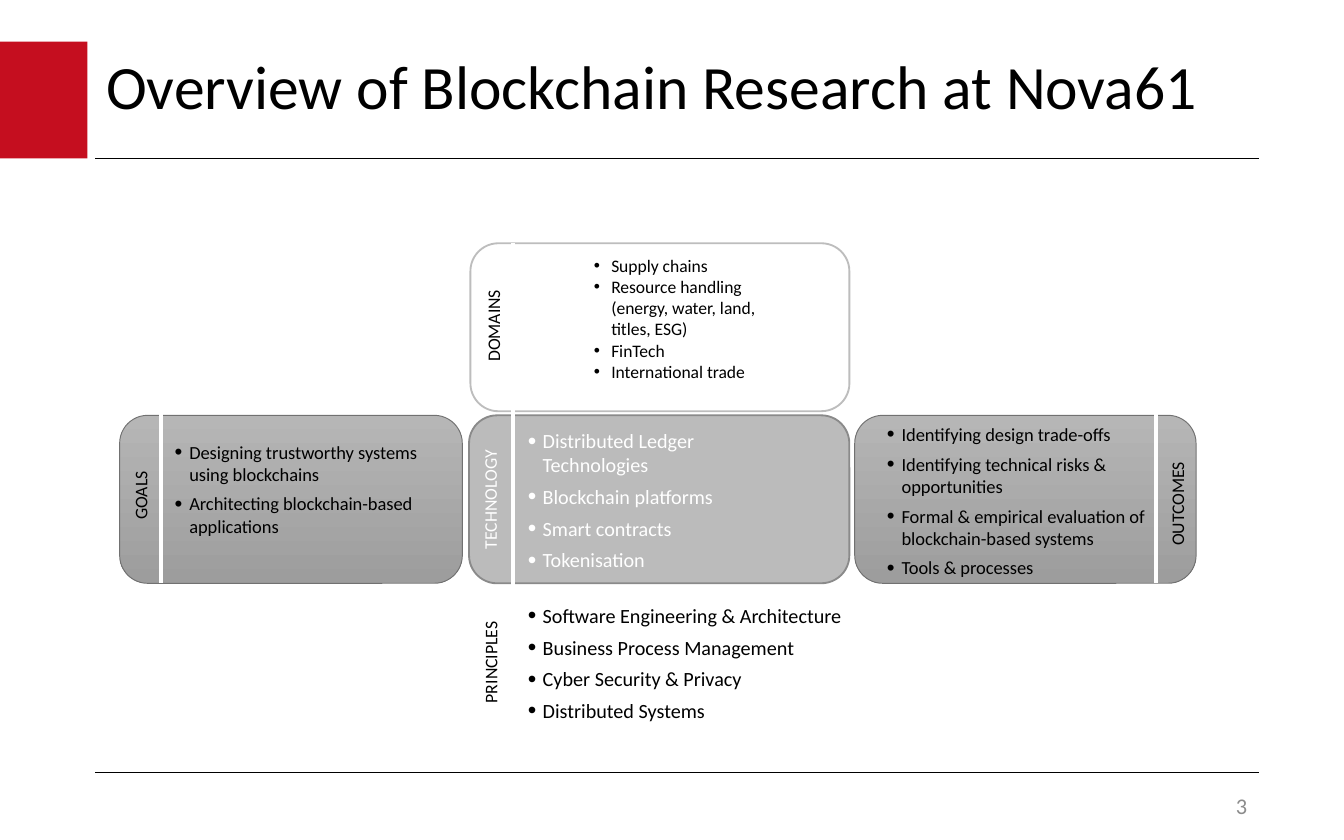
from lxml.etree import SubElement
from pptx import Presentation
from pptx.dml.color import RGBColor
from pptx.enum.shapes import MSO_CONNECTOR as Link, MSO_SHAPE as Form
from pptx.enum.text import MSO_ANCHOR as Anchor, MSO_AUTO_SIZE as Fit, PP_ALIGN as Align
from pptx.oxml.ns import qn
from pptx.util import Pt

PX = 9144
FONT = "Calibri"
BLACK = RGBColor(0, 0, 0)
WHITE = RGBColor(255, 255, 255)
RED = RGBColor(0xC5, 0x0E, 0x1F)
LIGHT = RGBColor(0xB6, 0xB6, 0xB6)
DARK = RGBColor(0x9D, 0x9D, 0x9D)
EDGE = RGBColor(0x71, 0x71, 0x71)
PALE = RGBColor(0xBD, 0xBD, 0xBD)
SILVER = RGBColor(0xBB, 0xBB, 0xBB)
STEEL = RGBColor(0x8A, 0x8A, 0x8A)
MUTED = RGBColor(0x8C, 0x8C, 0x8C)

ROW = 309
TALL = 125
SPLIT = 382

GOALS = ["Designing trustworthy systems using blockchains",
         "Architecting blockchain-based applications"]
DOMAINS = ["Supply chains", "Resource handling (energy, water, land, titles, ESG)",
           "FinTech", "International trade"]
TECH = ["Distributed Ledger Technologies", "Blockchain platforms",
        "Smart contracts", "Tokenisation"]
BASICS = ["Software Engineering & Architecture", "Business Process Management",
          "Cyber Security & Privacy", "Distributed Systems"]
RESULTS = ["Identifying design trade-offs",
           "Identifying technical risks & opportunities",
           "Formal & empirical evaluation of blockchain-based systems",
           "Tools & processes"]


def scale(*sizes):
    return [size * PX for size in sizes]


def add_run(para, text, size, color):
    run = para.add_run()
    run.text = text
    run.font.name = FONT
    run.font.size = Pt(size)
    run.font.color.rgb = color


def add_box(slide, box, fit=Fit.SHAPE_TO_FIT_TEXT, wrap=True):
    shape = slide.shapes.add_textbox(*scale(*box))
    frame = shape.text_frame
    frame.word_wrap = wrap
    frame.auto_size = fit
    frame.margin_right = 9 * PX
    return shape


def add_panel(slide, box, fill, edge=None, width=0.5, form=Form.ROUNDED_RECTANGLE):
    shape = slide.shapes.add_shape(form, *scale(*box))
    shape.shadow.inherit = False
    if isinstance(fill, list):
        shape.fill.gradient()
        shape.fill.gradient_angle = 270
        for stop, color in zip(shape.fill.gradient_stops, fill):
            stop.color.rgb = color
    else:
        shape.fill.solid()
        shape.fill.fore_color.rgb = fill
    if edge is None:
        shape.line.fill.background()
    else:
        shape.line.color.rgb = edge
        shape.line.width = Pt(width)


def add_line(slide, start, end, color, width):
    line = slide.shapes.add_connector(Link.STRAIGHT, *scale(*start, *end))
    line.line.color.rgb = color
    line.line.width = Pt(width)
    SubElement(line._element.spPr, qn("a:effectLst"))


def add_list(slide, box, items, size, color=BLACK, indent=11, gap=4, dot=120):
    frame = add_box(slide, box).text_frame
    for index, item in enumerate(items):
        para = frame.paragraphs[0] if index == 0 else frame.add_paragraph()
        props = para._p.get_or_add_pPr()
        props.set("marL", str(indent * PX))
        props.set("indent", str(-indent * PX))
        SubElement(props, qn("a:buSzPct"), val=str(dot * 1000))
        SubElement(props, qn("a:buFont"), typeface="Arial")
        SubElement(props, qn("a:buChar"), char="•")
        para.space_before = Pt(gap if index else 0)
        add_run(para, item, size, color)


def add_label(slide, box, text, color=BLACK):
    shape = add_box(slide, box, wrap=False)
    shape.rotation = 270
    add_run(shape.text_frame.paragraphs[0], text, 9.5, color)


def add_title(slide, text):
    title = slide.shapes.title
    title.left, title.top, title.width, title.height = scale(71, 31, 866, 71)
    frame = title.text_frame
    frame.vertical_anchor = Anchor.MIDDLE
    frame.auto_size = Fit.NONE
    frame.margin_left = 8 * PX
    para = frame.paragraphs[0]
    para.alignment = Align.LEFT
    para.line_spacing = 0.9
    add_run(para, text, 33, BLACK)


def add_number(slide, text):
    frame = add_box(slide, (734, 587, 203, 25), Fit.NONE).text_frame
    frame.vertical_anchor = Anchor.MIDDLE
    para = frame.paragraphs[0]
    para.alignment = Align.RIGHT
    add_run(para, text, 12, MUTED)


def main():
    deck = Presentation()
    deck.slide_width, deck.slide_height = scale(1000, 625)
    slide = deck.slides.add_slide(deck.slide_layouts[5])

    add_panel(slide, (0, 31, 65, 87), RED, form=Form.RECTANGLE)
    for y in (118, 575):
        add_line(slide, (71, y), (937, y), BLACK, 0.75)
    add_title(slide, "Overview of Blockchain Research at Nova61")

    add_panel(slide, (346, 437, 286, 109), WHITE, WHITE)
    add_panel(slide, (350, 181, 282, TALL), WHITE, PALE, 1)
    add_panel(slide, (349, ROW, 283, TALL), SILVER, STEEL, 1)
    for x, width in ((89, 255), (636, 254)):
        add_panel(slide, (x, ROW, width, TALL), [LIGHT, DARK], EDGE)

    for x, top, end in ((120, 306, 434), (860, 307, 434), (SPLIT, 181, 308),
                        (SPLIT, 307, 435), (SPLIT, 435, 546)):
        add_line(slide, (x, top), (x, end), WHITE, 2.25)

    add_list(slide, (432, 185, 157, 106), DOMAINS, 9.4, indent=13, gap=0, dot=100)
    add_list(slide, (120, 323, 221, 82), GOALS, 9.9)
    add_list(slide, (383, 314, 193, 118), TECH, 10.8, WHITE)
    add_list(slide, (650, 310, 212, 127), RESULTS, 9.9)
    add_list(slide, (383, 444, 259, 100), BASICS, 10.8)

    add_label(slide, (330, 229, 74, 26), "DOMAINS")
    add_label(slide, (76, 355, 57, 26), "GOALS")
    add_label(slide, (317, 358, 95, 26), "TECHNOLOGY", WHITE)
    add_label(slide, (834, 361, 84, 26), "OUTCOMES")
    add_label(slide, (324, 479, 82, 26), "PRINCIPLES")
    add_number(slide, "3")

    deck.save("out.pptx")


if __name__ == "__main__":
    main()
